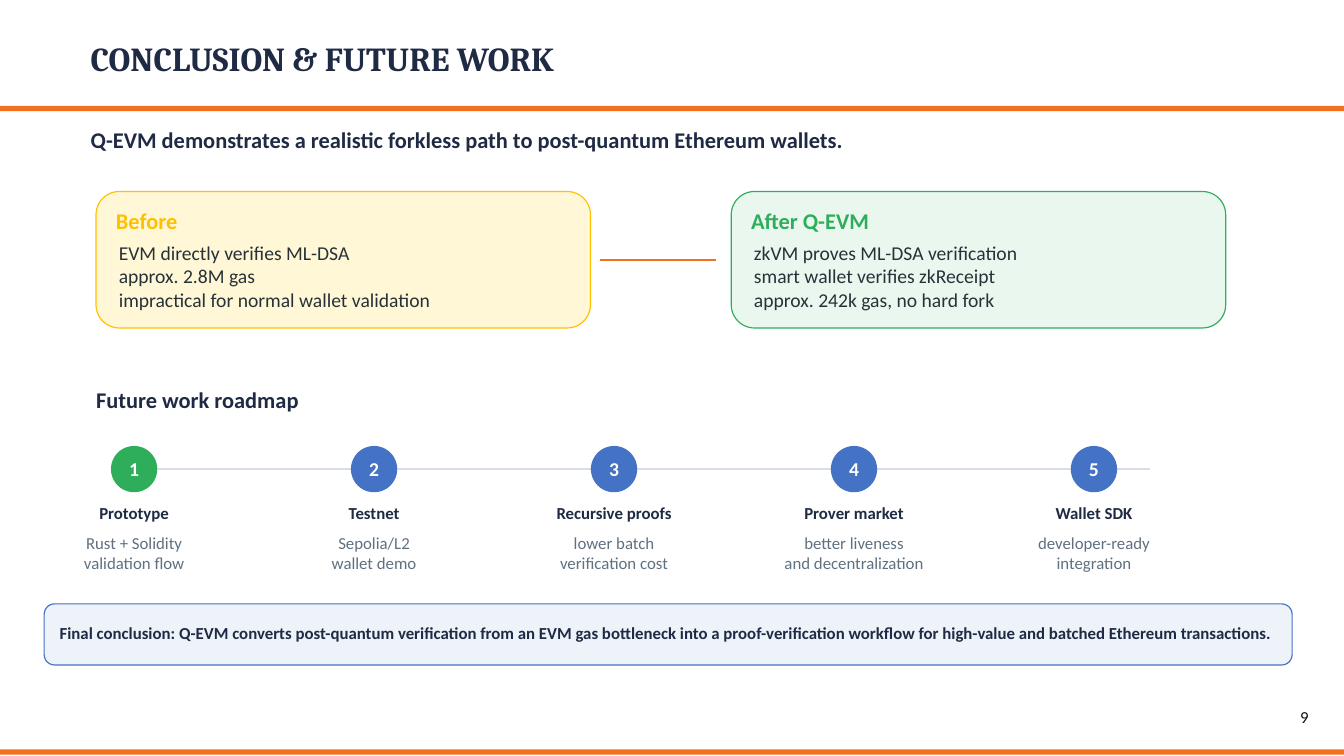
from pptx import Presentation
from pptx.dml.color import RGBColor
from pptx.enum.shapes import MSO_CONNECTOR as Link, MSO_SHAPE as Form
from pptx.enum.text import MSO_ANCHOR as Anchor, MSO_AUTO_SIZE as Fit, PP_ALIGN as Align
from pptx.oxml.ns import qn
from pptx.util import Cm, Pt
from lxml.etree import SubElement

NAVY, ORANGE, GREEN, BLUE = "1F2A44", "F37021", "2EAD5B", "4472C4"
GOLD, SLATE, GRAY, WHITE = "FFC000", "263238", "607080", "FFFFFF"


def tint(code):
    return RGBColor.from_string(code)


class Deck:
    def __init__(self, wide, high):
        self.show = Presentation()
        self.show.slide_width, self.show.slide_height = Cm(wide), Cm(high)
        self.slide = self.show.slides.add_slide(self.show.slide_layouts[5])
        self.font = "Calibri"

    def fill_text(self, frame, lines, size, color, bold=False, align=Align.LEFT,
                  anchor=Anchor.TOP, font=None, pad=(0, 0, 0, 0)):
        frame.word_wrap = True
        frame.auto_size = Fit.NONE
        frame.vertical_anchor = anchor
        (frame.margin_left, frame.margin_top,
         frame.margin_right, frame.margin_bottom) = map(Cm, pad)
        for i, line in enumerate(lines):
            para = frame.paragraphs[0] if i == 0 else frame.add_paragraph()
            para.alignment = align
            para.line_spacing = Pt(size * 1.2)
            para.space_before = Pt(0)
            run = para.add_run()
            run.text = line
            run.font.name = font or self.font
            run.font.size = Pt(size)
            run.font.bold = bold
            run.font.color.rgb = tint(color)

    def title(self, box, line):
        head = self.slide.shapes.title
        head.left, head.top, head.width, head.height = map(Cm, box)
        self.fill_text(head.text_frame, [line], 36, NAVY, True, font="Cambria")

    def text(self, box, lines, size, color, **style):
        area = self.slide.shapes.add_textbox(*map(Cm, box))
        self.fill_text(area.text_frame, lines, size, color, **style)

    def shape(self, form, box, fill, edge=None):
        item = self.slide.shapes.add_shape(form, *map(Cm, box))
        item.shadow.inherit = False
        item.fill.solid()
        item.fill.fore_color.rgb = tint(fill)
        if edge:
            item.line.color.rgb = tint(edge)
            item.line.width = Pt(1.25)
        else:
            item.line.fill.background()
        return item

    def panel(self, box, fill, edge):
        item = self.shape(Form.ROUNDED_RECTANGLE, box, fill, edge)
        item.adjustments[0] = 0.17
        return item

    def line(self, left, right, y, color, width):
        rule = self.slide.shapes.add_connector(
            Link.STRAIGHT, Cm(left), Cm(y), Cm(right), Cm(y))
        rule.line.color.rgb = tint(color)
        rule.line.width = Pt(width)
        SubElement(rule._element.spPr, qn("a:effectLst"))

    def card(self, left, fill, color, name, lines):
        self.panel((left, 7.24, 18.69, 5.16), fill, color)
        self.text((left + 0.75, 7.82, 6.1, 1.12), [name], 24, color, bold=True)
        self.text((left + 0.86, 9.09, 16.6, 2.74), lines, 21, SLATE)

    def step(self, mid, num, color, name, lines):
        size, wide = 1.75, 5.92
        dot = self.shape(Form.OVAL, (mid - size / 2, 16.86, size, size), color)
        self.fill_text(dot.text_frame, [str(num)], 21, WHITE, True,
                       Align.CENTER, Anchor.MIDDLE)
        left = mid - wide / 2
        self.text((left, 19.02, wide, 0.84), [name], 18, NAVY,
                  bold=True, align=Align.CENTER)
        self.text((left, 20.14, wide, 1.57), lines, 18, GRAY, align=Align.CENTER)


def main():
    deck = Deck(50.8, 28.58)
    deck.title((3.43, 1.42, 40.79, 1.78), "CONCLUSION & FUTURE WORK")
    for top in (4, 28.33):
        deck.shape(Form.RECTANGLE, (0, top, 50.8, 0.2), ORANGE)
    deck.text((48.54, 26.7, 1.52, 1.07), ["9"], 18, "111111", align=Align.CENTER)
    deck.text((3.43, 4.78, 44.22, 1.12),
              ["Q-EVM demonstrates a realistic forkless path to post-quantum Ethereum wallets."],
              24, NAVY, bold=True)

    deck.card(3.63, "FFF7D6", GOLD, "Before",
              ["EVM directly verifies ML-DSA", "approx. 2.8M gas",
               "impractical for normal wallet validation"])
    deck.line(22.68, 27.08, 9.84, ORANGE, 2)
    deck.card(27.64, "EAF7EF", GREEN, "After Q-EVM",
              ["zkVM proves ML-DSA verification", "smart wallet verifies zkReceipt",
               "approx. 242k gas, no hard fork"])

    deck.text((3.63, 14.58, 11.43, 1.12), ["Future work roadmap"], 24, NAVY, bold=True)
    deck.line(5.33, 43.46, 17.73, "D7DEE8", 2.5)
    steps = [
        ("Prototype", ["Rust + Solidity", "validation flow"]),
        ("Testnet", ["Sepolia/L2", "wallet demo"]),
        ("Recursive proofs", ["lower batch", "verification cost"]),
        ("Prover market", ["better liveness", "and decentralization"]),
        ("Wallet SDK", ["developer-ready", "integration"]),
    ]
    for i, (name, lines) in enumerate(steps):
        deck.step(5.07 + 9.07 * i, i + 1, BLUE if i else GREEN, name, lines)

    final = deck.panel((1.67, 22.83, 47.17, 2.31), "EEF3FA", BLUE)
    deck.fill_text(final.text_frame,
                   ["Final conclusion: Q-EVM converts post-quantum verification from an EVM gas "
                    "bottleneck into a proof-verification workflow for high-value and batched "
                    "Ethereum transactions."],
                   18, NAVY, True, Align.CENTER, Anchor.MIDDLE, pad=(0, 0, 0.18, 0.15))
    deck.show.save("out.pptx")


if __name__ == "__main__":
    main()
